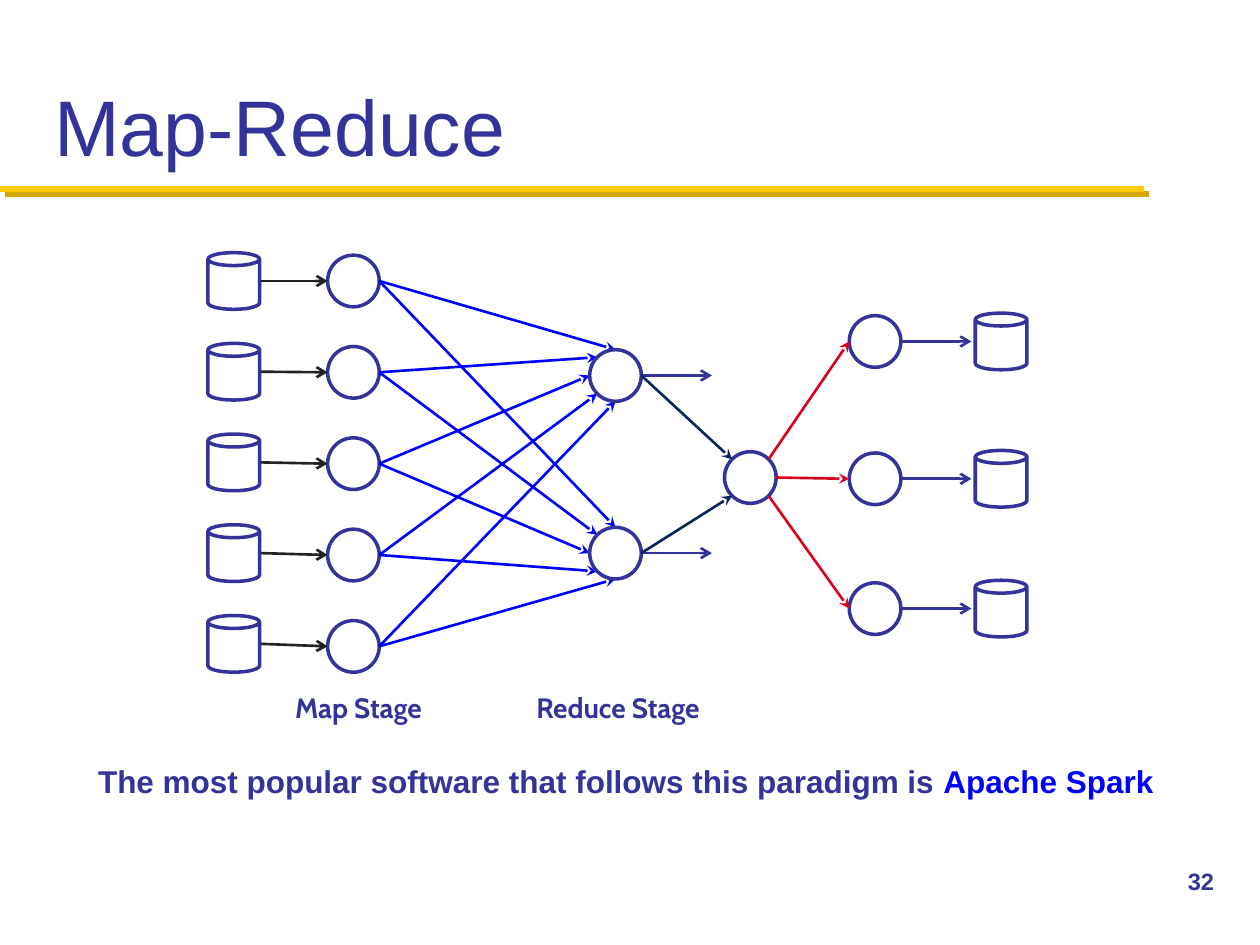
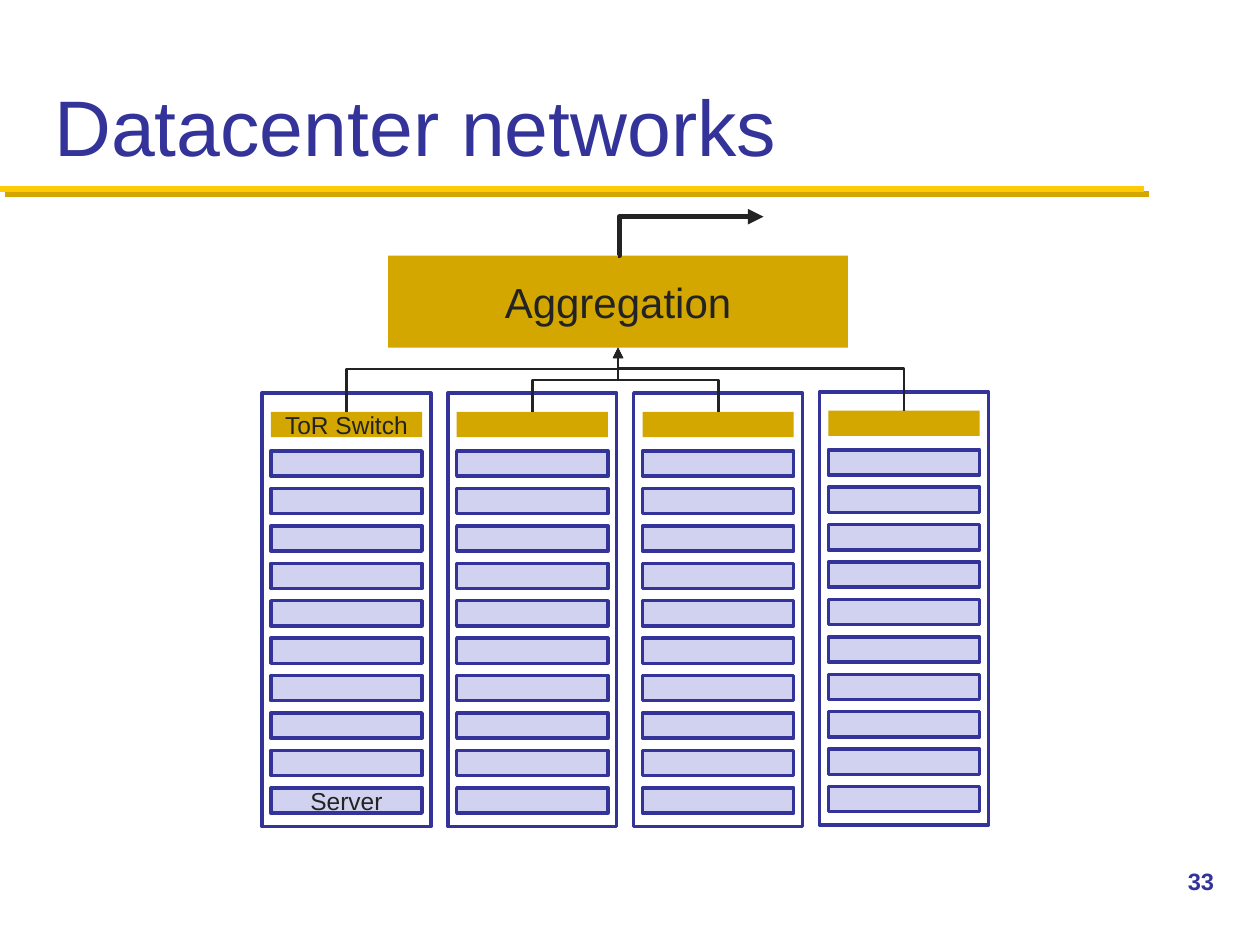
from math import cos, radians, sin

from lxml import etree
from pptx import Presentation
from pptx.dml.color import RGBColor
from pptx.enum.shapes import MSO_CONNECTOR, MSO_SHAPE
from pptx.enum.text import MSO_ANCHOR, MSO_AUTO_SIZE, PP_ALIGN
from pptx.oxml.ns import qn
from pptx.util import Inches, Pt

STRAIGHT, ELBOW = MSO_CONNECTOR.STRAIGHT, MSO_CONNECTOR.ELBOW
CIRCLE, CAN, RECT = MSO_SHAPE.OVAL, MSO_SHAPE.CAN, MSO_SHAPE.RECTANGLE
LEFT, CENTER = PP_ALIGN.LEFT, PP_ALIGN.CENTER


class Theme:
    INDIGO, BLUE, NAVY = "333399", "0000FF", "09245F"
    RED, INK, LILAC = "D9001F", "232323", "D1D1F0"
    YELLOW, GOLD = "FFCB05", "D3A600"
    FONT, LABEL_FONT = "Arial", "Cabin"
    TITLE, AGGREGATION, NOTE, LABEL, UNIT, NUMBER = 45, 24, 18, 16, 14, 13.5
    OUTLINE, ARROW, UPLINK, RULE = 2, 1.5, 3, 3.5


# Content: Map-Reduce
NODE = 0.41                      # width of circles and cans
CAN_H = 0.45
INPUT_X, MAP_X, REDUCE_X, HUB_X, WRITE_X, OUTPUT_X = 1.65, 2.6, 4.68, 5.75, 6.74, 7.74
MAP_ROWS = [(2.23 + 0.72 * i, 2.23 + 0.725 * i) for i in range(5)]  # can, circle centres
REDUCE_ROWS = [2.98, 4.39]
HUB_Y = 3.79
WRITE_ROWS = [2.71, 3.8, 4.83]
STAGES = [("Map Stage", 2.15, 1.39), ("Reduce Stage", 4.04, 1.73)]
NOTE = [("The most popular software that follows this paradigm is ", Theme.INDIGO),
        ("Apache Spark", Theme.BLUE)]
MAP_ANGLES = [-90, -135, 180, 135, 90]      # where each mapper's arrow meets a reducer
HUB_IN_ANGLES = [-135, 135]
HUB_OUT_ANGLES = [-45, 0, 45]

# Content: Datacenter networks
RACK_TOPS = [3.12, 3.12, 3.12, 3.11]
RACK_X, RACK_PITCH, RACK_W, RACK_H = 2.08, 1.475, 1.34, 3.44
UNIT_W, UNIT_H, UNIT_PITCH, SERVERS = 1.2, 0.2, 0.297, 10
SWITCH_DROP, SERVER_DROP = 0.15, 0.46       # below the top of the rack
AGGREGATION = (3.08, 2.03, 3.65, 0.73)
UPLINK_BENDS = [0.67, 0.5, 0.5, 0.67]
FIRST_NUMBER = 32


def rgb(value):
    return RGBColor.from_string(value)


def style(p, size, color, bold=False, font=Theme.FONT, align=LEFT):
    p.alignment = align
    p.font.name, p.font.size, p.font.bold = font, Pt(size), bold
    p.font.color.rgb = rgb(color)


def add_text(slide, text, box, size, wrap=True, **look):
    """Add bold indigo text; the text may be a list of (words, colour) runs."""
    tf = slide.shapes.add_textbox(*map(Inches, box)).text_frame
    tf.word_wrap = wrap
    p = tf.paragraphs[0]
    if isinstance(text, str):
        p.text = text
    else:
        for words, color in text:
            r = p.add_run()
            r.text = words
            r.font.color.rgb = rgb(color)
    style(p, size, Theme.INDIGO, bold=True, **look)


def add_box(slide, kind, box, fill=None, line=Theme.INDIGO, text="", size=Theme.UNIT):
    sp = slide.shapes.add_shape(kind, *map(Inches, box))
    sp.shadow.inherit = False
    if fill:
        sp.fill.solid()
        sp.fill.fore_color.rgb = rgb(fill)
    else:
        sp.fill.background()
    if line:
        sp.line.color.rgb = rgb(line)
        sp.line.width = Pt(Theme.OUTLINE)
    else:
        sp.line.fill.background()
    if text:
        tf = sp.text_frame
        tf.margin_left = tf.margin_right = tf.margin_top = tf.margin_bottom = 0
        tf.vertical_anchor = MSO_ANCHOR.MIDDLE
        tf.paragraphs[0].text = text
        style(tf.paragraphs[0], size, Theme.INK, align=CENTER)
    return sp


def add_line(slide, start, end, color, head=None, width=Theme.ARROW, kind=STRAIGHT):
    c = slide.shapes.add_connector(kind, *map(Inches, (*start, *end)))
    c.line.color.rgb = rgb(color)
    c.line.width = Pt(width)
    props = c.element.spPr
    if head:
        etree.SubElement(props.find(qn("a:ln")), qn("a:tailEnd"), type=head)
    etree.SubElement(props, qn("a:effectLst"))
    return c


def set_bend(connector, share):
    guides = connector.element.spPr.find(qn("a:prstGeom")).find(qn("a:avLst"))
    etree.SubElement(guides, qn("a:gd"), name="adj1", fmla=f"val {round(share * 100000)}")


def add_riser(slide, start, end, bend):
    """Elbow that leaves upwards, runs sideways and ends upwards."""
    (x0, y0), (x1, y1) = start, end
    cx, cy = (x0 + x1) / 2, (y0 + y1) / 2
    dx, dy = abs(x1 - x0) / 2, abs(y1 - y0) / 2
    rightward = x1 > x0
    side = dy if rightward else -dy
    c = add_line(slide, (cx + side, cy + dx), (cx - side, cy - dx),
                 Theme.INK, "triangle", kind=ELBOW)
    c.element.spPr.find(qn("a:xfrm")).set("rot", str((90 if rightward else 270) * 60000))
    set_bend(c, bend)


def rim(x, cy, angle):
    """Point on the rim of the circle whose left edge is x; 0 is right, 90 is down."""
    r = NODE / 2
    return x + r + r * cos(radians(angle)), cy + r * sin(radians(angle))


def add_node(slide, kind, x, cy):
    h = CAN_H if kind == CAN else NODE
    add_box(slide, kind, (x, cy - h / 2, NODE, h))


def set_up_layout(layout, slide):
    """Give the layout its title place and its yellow rule with a gold shadow."""
    title = layout.placeholders[0]
    title.left, title.top, title.width, title.height = map(Inches, (0.33, 0.17, 9.33, 1.25))
    rule = add_line(slide, (0, 1.5), (9.08, 1.5), Theme.YELLOW, width=Theme.RULE)
    effects = rule.element.spPr.find(qn("a:effectLst"))
    shadow = etree.SubElement(effects, qn("a:outerShdw"), dist=str(Pt(4.2)),
                              dir=str(45 * 60000), algn="ctr", rotWithShape="0")
    etree.SubElement(shadow, qn("a:srgbClr"), val=Theme.GOLD)
    layout.shapes.element.append(rule.element)


def add_slide(prs, layout, title):
    slide = prs.slides.add_slide(layout)
    tf = slide.shapes.title.text_frame
    tf.text = title
    tf.auto_size = MSO_AUTO_SIZE.NONE
    tf.vertical_anchor = MSO_ANCHOR.BOTTOM
    style(tf.paragraphs[0], Theme.TITLE, Theme.INDIGO)
    number = FIRST_NUMBER + len(prs.slides) - 1
    add_text(slide, str(number), (9.33, 6.83, 0.67, 0.5), Theme.NUMBER)
    return slide


def draw_map_reduce(slide):
    for (can_y, map_y), angle in zip(MAP_ROWS, MAP_ANGLES):
        add_node(slide, CAN, INPUT_X, can_y)
        add_node(slide, CIRCLE, MAP_X, map_y)
        add_line(slide, (INPUT_X + NODE + 0.01, can_y), (MAP_X, map_y), Theme.INK, "arrow")
        for reduce_y in REDUCE_ROWS:
            add_line(slide, rim(MAP_X, map_y, 0), rim(REDUCE_X, reduce_y, angle),
                     Theme.BLUE, "stealth")

    add_node(slide, CIRCLE, HUB_X, HUB_Y)
    for y, angle in zip(REDUCE_ROWS, HUB_IN_ANGLES):
        add_node(slide, CIRCLE, REDUCE_X, y)
        right = rim(REDUCE_X, y, 0)
        add_line(slide, right, (5.65, y), Theme.INDIGO, "arrow")
        add_line(slide, right, rim(HUB_X, HUB_Y, angle), Theme.NAVY, "stealth")

    for y, angle in zip(WRITE_ROWS, HUB_OUT_ANGLES):
        add_node(slide, CIRCLE, WRITE_X, y)
        add_node(slide, CAN, OUTPUT_X, y)
        add_line(slide, rim(HUB_X, HUB_Y, angle), (WRITE_X, y), Theme.RED, "stealth")
        add_line(slide, rim(WRITE_X, y, 0), (OUTPUT_X - 0.03, y), Theme.INDIGO, "arrow")

    for name, x, w in STAGES:
        add_text(slide, name, (x, 5.43, w, 0.37), Theme.LABEL, wrap=False,
                 font=Theme.LABEL_FONT, align=CENTER)
    add_text(slide, NOTE, (0.68, 6, 8.65, 0.4), Theme.NOTE, wrap=False)


def draw_datacenter(slide):
    x, y, w, h = AGGREGATION
    add_box(slide, RECT, AGGREGATION, Theme.GOLD, None, "Aggregation", Theme.AGGREGATION)
    middle = x + w / 2

    for i, (top, bend) in enumerate(zip(RACK_TOPS, UPLINK_BENDS)):
        left = RACK_X + i * RACK_PITCH
        unit_x = left + (RACK_W - UNIT_W) / 2
        switch_y = top + SWITCH_DROP
        for n in range(SERVERS):
            server_y = top + SERVER_DROP + n * UNIT_PITCH
            label = "Server" if i == 0 and n == SERVERS - 1 else ""
            add_box(slide, RECT, (unit_x, server_y, UNIT_W, UNIT_H), Theme.LILAC, text=label)
        add_box(slide, RECT, (unit_x, switch_y, UNIT_W, UNIT_H), Theme.GOLD, None,
                "ToR Switch" if i == 0 else "")
        add_box(slide, RECT, (left, top, RACK_W, RACK_H))
        add_riser(slide, (left + RACK_W / 2, switch_y), (middle, y + h), bend)

    way_out = add_line(slide, (middle, y), (6.06, 1.72), Theme.INK, "triangle",
                       Theme.UPLINK, ELBOW)
    set_bend(way_out, 0.01)


def main():
    prs = Presentation()
    prs.slide_width, prs.slide_height = Inches(10), Inches(7.5)
    layout = prs.slide_layouts.get_by_name("Title Only")
    map_reduce = add_slide(prs, layout, "Map-Reduce")
    set_up_layout(layout, map_reduce)
    draw_map_reduce(map_reduce)
    draw_datacenter(add_slide(prs, layout, "Datacenter networks"))
    prs.save("out.pptx")


if __name__ == "__main__":
    main()
